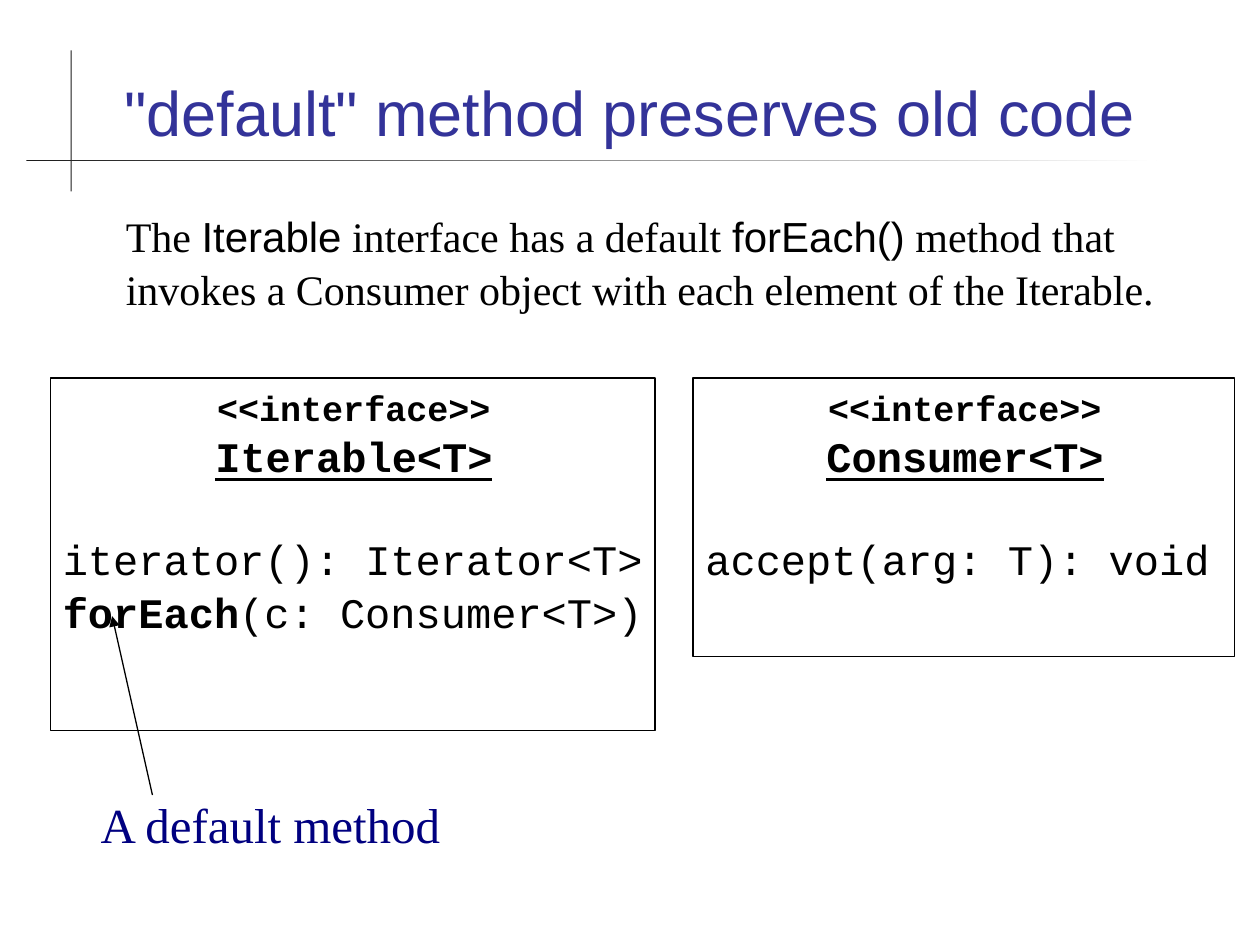
from pptx import Presentation
from pptx.dml.color import RGBColor
from pptx.enum.shapes import MSO_CONNECTOR as Connector, MSO_SHAPE as Shape
from pptx.enum.text import MSO_ANCHOR as Anchor, PP_ALIGN as Align
from pptx.oxml.ns import qn
from pptx.util import Inches, Pt
from lxml.etree import SubElement

WIDTH, HEIGHT = 10, 7.5
COLORS = {"title": "333399", "ink": "000000", "note": "000080",
          "rule": "1C1C1C", "paper": "FFFFFF"}
SANS, SERIF, MONO = "Arial", "Times New Roman", "Courier New"
LINE_SPACING = 1.05
BOX_TOP = 0.4 * HEIGHT


def color(name):
    return RGBColor.from_string(COLORS[name])


def style(font, name, size, ink="ink", bold=False, underline=False):
    font.name, font.size = name, Pt(size)
    font.color.rgb = color(ink)
    font.bold, font.underline = bold, underline


def add_rectangle(slide, left, top, width, height):
    shape = slide.shapes.add_shape(
        Shape.RECTANGLE, *map(Inches, (left, top, width, height)))
    shape.shadow.inherit = False
    return shape


def add_rules(slide):
    """Crossed hairlines behind the title; the horizontal one fades out."""
    vertical = add_rectangle(slide, 0.56, 0.4, 0.01, 1.12)
    vertical.fill.solid()
    vertical.fill.fore_color.rgb = color("rule")
    horizontal = add_rectangle(slide, 0.21, 1.27, 8.97, 0.01)
    horizontal.fill.gradient()
    horizontal.fill.gradient_angle = 0
    for stop, name in zip(horizontal.fill.gradient_stops, ("rule", "paper")):
        stop.color.rgb = color(name)
    for rule in (vertical, horizontal):
        rule.line.fill.background()


def add_text(slide, area, runs, size, ink="ink", align=Align.LEFT,
             anchor=Anchor.TOP):
    """Text box with one paragraph; runs are (text, font name) pairs."""
    frame = slide.shapes.add_textbox(*map(Inches, area)).text_frame
    frame.word_wrap = True
    frame.vertical_anchor = anchor
    paragraph = frame.paragraphs[0]
    paragraph.alignment = align
    paragraph.line_spacing = LINE_SPACING
    style(paragraph.font, runs[0][1], size, ink)
    for text, name in runs:
        run = paragraph.add_run()
        run.text = text
        style(run.font, name, size, ink)


def add_interface(slide, left, width, height, name, methods):
    """Class box; each method is a (bold part, plain part) pair."""
    shape = add_rectangle(slide, left, BOX_TOP, width, height)
    shape.fill.background()
    shape.line.color.rgb = color("ink")
    shape.line.width = Pt(0.75)
    frame = shape.text_frame
    frame.word_wrap = True
    frame.vertical_anchor = Anchor.TOP
    frame.margin_right = Inches(0.08)  # room for the widest signature

    heading = frame.paragraphs[0]
    heading.text = "<<interface>>"
    style(heading.font, MONO, 20, bold=True)
    title = frame.add_paragraph()
    title.text = name
    style(title.font, MONO, 24, bold=True, underline=True)
    for paragraph in (heading, title):
        paragraph.alignment = Align.CENTER

    for index, parts in enumerate(methods):
        method = frame.add_paragraph()
        method.alignment = Align.LEFT
        method.space_before = Pt(0 if index else 28.5)
        style(method.font, MONO, 24)
        for text, bold in zip(parts, (True, False)):
            if text:
                run = method.add_run()
                run.text = text
                run.font.bold = bold
    for paragraph in frame.paragraphs:
        paragraph.line_spacing = LINE_SPACING


def add_arrow(slide, start, end):
    arrow = slide.shapes.add_connector(
        Connector.STRAIGHT, *map(Inches, (*start, *end)))
    arrow.line.color.rgb = color("ink")
    arrow.line.width = Pt(0.75)
    SubElement(arrow.line._get_or_add_ln(), qn("a:tailEnd"), type="triangle")
    SubElement(arrow._element.spPr, qn("a:effectLst"))


def main():
    presentation = Presentation()
    presentation.slide_width = Inches(WIDTH)
    presentation.slide_height = Inches(HEIGHT)
    slide = presentation.slides.add_slide(presentation.slide_layouts[6])

    # Title
    add_rules(slide)
    add_text(slide, (0.67, 0.28, 8.66, 0.95),
             [('"default" method preserves old code', SANS)],
             36, "title", Align.CENTER, Anchor.BOTTOM)

    # Explanation
    add_text(slide, (0.9, 1.6, 8.7, 5.3), [
        ("The ", SERIF), ("Iterable", SANS),
        (" interface has a default ", SERIF), ("forEach()", SANS),
        (" method that invokes a Consumer object with each element"
         " of the Iterable.", SERIF)], 24)

    # Interfaces
    add_interface(slide, 0.4, 4.8, 2.8, "Iterable<T>",
                  [("", "iterator(): Iterator<T>"),
                   ("forEach", "(c: Consumer<T>)")])
    add_interface(slide, 5.5, 4.3, 2.21, "Consumer<T>",
                  [("", "accept(arg: T): void")])

    # Callout
    add_text(slide, (0.7, 6.23, 6.8, 0.57), [("A default method", SERIF)],
             28, "note")
    add_arrow(slide, (1.21, 6.31), (0.89, 4.89))

    presentation.save("out.pptx")


if __name__ == "__main__":
    main()
